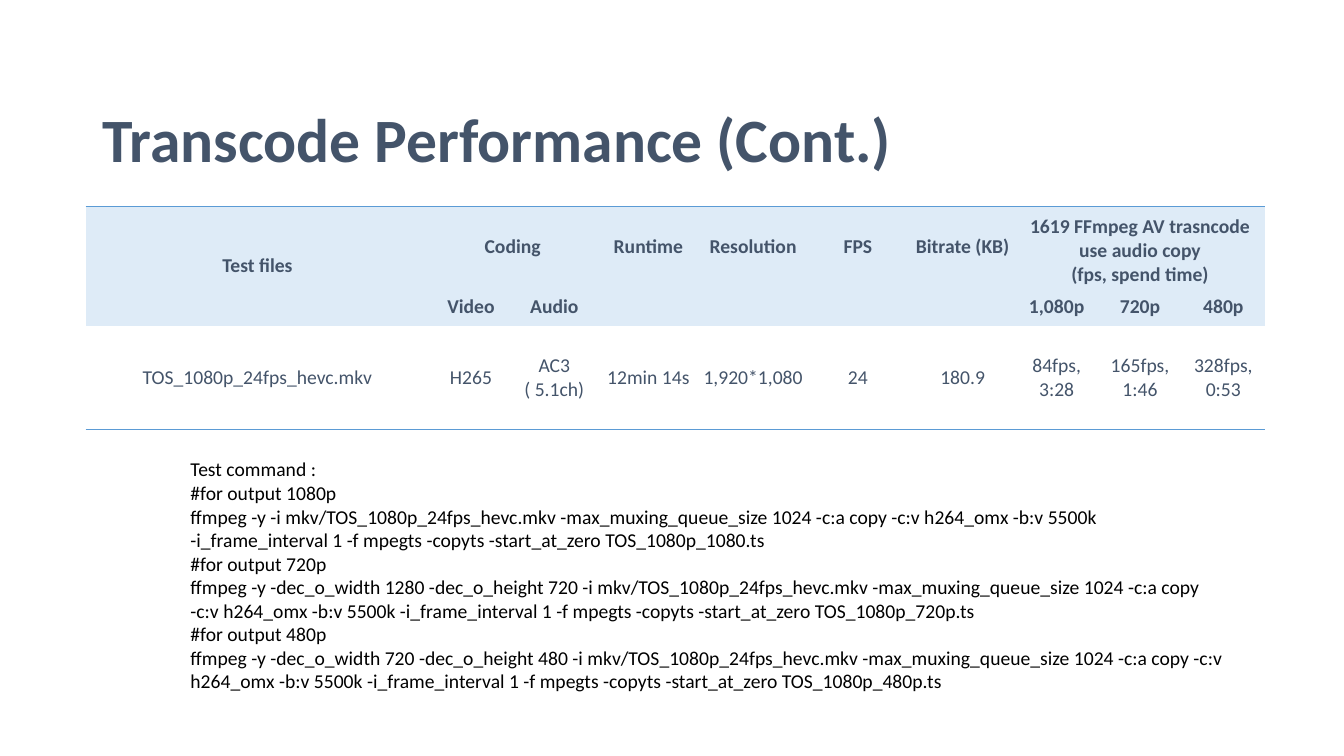
"""Build the transcode performance slide with its results table and test commands."""
from lxml import etree
from pptx import Presentation
from pptx.dml.color import RGBColor
from pptx.enum import text
from pptx.oxml import ns
from pptx.util import Cm, Pt

SLATE = RGBColor(0x44, 0x54, 0x6A)
BLACK = RGBColor(0x00, 0x00, 0x00)
PALE_BLUE = RGBColor(0xDE, 0xEB, 0xF7)
RULE_BLUE = RGBColor(0x5B, 0x9B, 0xD5)
FONT = "Calibri"
PLAIN_TABLE = "{2D5ABB26-0587-4C30-8999-92F81FD0307C}"

COLUMN_WIDTHS = [8.66] + [2.1] * 2 + [2.64] * 4 + [2.1] * 3
ROW_HEIGHTS = [2.03, 0.99, 2.6]
HEADER_ROWS = 2
RESULTS = [
    ["Test files", "Coding", "", "Runtime", "Resolution", "FPS", "Bitrate (KB)",
     "1619 FFmpeg AV trasncode\nuse audio copy\n(fps, spend time)", "", ""],
    ["", "Video", "Audio", "", "", "", "", "1,080p", "720p", "480p"],
    ["TOS_1080p_24fps_hevc.mkv", "H265", "AC3\n( 5.1ch)", "12min 14s", "1,920*1,080",
     "24", "180.9", "84fps, 3:28", "165fps, 1:46", "328fps, 0:53"],
]
MERGES = [((0, 0), (1, 0)), ((0, 1), (0, 2)), ((0, 7), (0, 9))]
OUTPUTS = [
    ("1080p", "", "1080"),
    ("720p", "-dec_o_width 1280 -dec_o_height 720 ", "720p"),
    ("480p", "-dec_o_width 720 -dec_o_height 480 ", "480p"),
]


def write_lines(frame, lines, size, color, bold=False, align=text.PP_ALIGN.LEFT):
    """Write each line as a paragraph of one styled run."""
    for index, line in enumerate(lines):
        paragraph = frame.paragraphs[0] if index == 0 else frame.add_paragraph()
        paragraph.alignment = align
        run = paragraph.add_run()
        run.text = line
        run.font.name = FONT
        run.font.size = Pt(size)
        run.font.bold = bold
        run.font.color.rgb = color


def add_rule(cell, side):
    """Draw a thin blue rule on one side of a table cell."""
    rule = etree.Element(ns.qn(f"a:{side}"), w=str(Pt(1)))
    fill = etree.SubElement(rule, ns.qn("a:solidFill"))
    etree.SubElement(fill, ns.qn("a:srgbClr"), val=str(RULE_BLUE))
    cell._tc.get_or_add_tcPr().insert(0, rule)


def add_title(slide, left, top, width, height):
    """Place the slide title."""
    title = slide.shapes.add_textbox(left, top, width, height).text_frame
    title.word_wrap = True
    title.vertical_anchor = text.MSO_ANCHOR.MIDDLE
    write_lines(title, ["Transcode Performance (Cont.)"], 44, SLATE, bold=True)
    title.paragraphs[0].line_spacing = 0.9


def add_results(slide, left, top, width, height):
    """Place the table of transcode results."""
    frame = slide.shapes.add_table(len(RESULTS), len(COLUMN_WIDTHS), left, top, width, height)
    results = frame.table
    results._tbl.tblPr.find(ns.qn("a:tableStyleId")).text = PLAIN_TABLE
    for column, column_width in zip(results.columns, COLUMN_WIDTHS):
        column.width = Cm(column_width)
    for row, row_height in zip(results.rows, ROW_HEIGHTS):
        row.height = Cm(row_height)
    for start, end in MERGES:
        results.cell(*start).merge(results.cell(*end))
    for r, entries in enumerate(RESULTS):
        for c, entry in enumerate(entries):
            cell = results.cell(r, c)
            cell.margin_left = cell.margin_right = cell.margin_top = cell.margin_bottom = 0
            cell.vertical_anchor = text.MSO_ANCHOR.MIDDLE
            is_header = r < HEADER_ROWS
            if is_header:
                cell.fill.solid()
                cell.fill.fore_color.rgb = PALE_BLUE
            else:
                cell.fill.background()
            if entry:
                write_lines(cell.text_frame, entry.split("\n"), 14, SLATE,
                            is_header, text.PP_ALIGN.CENTER)
            if r == 0:
                add_rule(cell, "lnT")
            if r == len(RESULTS) - 1:
                add_rule(cell, "lnB")
    results.cell(0, 7).vertical_anchor = text.MSO_ANCHOR.BOTTOM


def add_commands(slide, left, top, width, height):
    """Place the test command for each output size."""
    commands = slide.shapes.add_textbox(left, top, width, height).text_frame
    commands.word_wrap = True
    lines = ["Test command :"]
    for size, scaling, suffix in OUTPUTS:
        lines += [
            f"#for output {size}",
            f"ffmpeg -y {scaling}-i mkv/TOS_1080p_24fps_hevc.mkv -max_muxing_queue_size 1024 "
            "-c:a copy -c:v h264_omx -b:v 5500k -i_frame_interval 1 -f mpegts -copyts "
            f"-start_at_zero TOS_1080p_{suffix}.ts",
        ]
    write_lines(commands, lines, 14, BLACK)


def main():
    """Build and save the slide."""
    deck = Presentation()
    deck.slide_width, deck.slide_height = Cm(33.87), Cm(19.05)
    slide = deck.slides.add_slide(deck.slide_layouts[6])
    add_title(slide, Cm(2.33), Cm(2.5), Cm(29.2), Cm(2.18))
    add_results(slide, Cm(2.16), Cm(5.2), Cm(sum(COLUMN_WIDTHS)), Cm(sum(ROW_HEIGHTS)))
    add_commands(slide, Cm(4.55), Cm(11.4), Cm(26.77), Cm(6.25))
    deck.save("out.pptx")


if __name__ == "__main__":
    main()
